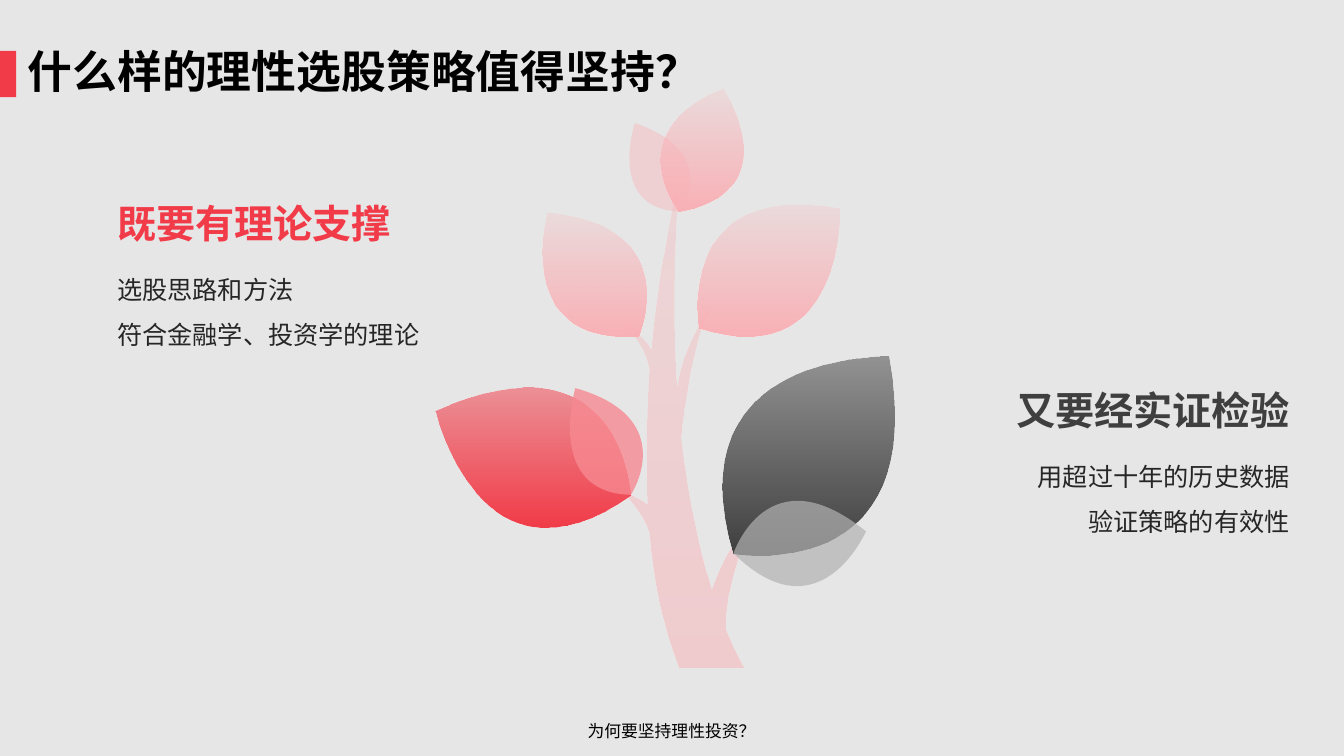
import dataclasses

import pptx
import pptx.dml.color
import pptx.enum.shapes
import pptx.enum.text
import pptx.oxml
import pptx.oxml.ns
import pptx.util
import lxml.etree

Cm = pptx.util.Cm
Align = pptx.enum.text.PP_ALIGN
Anchor = pptx.enum.text.MSO_ANCHOR
rgb = pptx.dml.color.RGBColor.from_string
qn = pptx.oxml.ns.qn


@dataclasses.dataclass(frozen=True)
class Theme:
    background: str = "E7E6E6"
    red: str = "F23B48"
    rose: str = "F78991"
    pink: str = "FAB1B6"
    dark: str = "3F3F3F"
    grey: str = "B2B2B2"
    body: str = "262626"
    black: str = "000000"
    font: str = "Noto Sans CJK SC"
    heading_font: str = "Arial"
    title_size: int = 32
    heading_size: int = 28
    body_size: int = 18
    footer_size: int = 12


theme = Theme()
BOUNDS_STEPS = 100
UNITS_PER_CM = 1000

presentation = pptx.Presentation()
presentation.slide_width = Cm(33.87)
presentation.slide_height = Cm(19.05)
slide = presentation.slides.add_slide(presentation.slide_layouts[6])
slide.background.fill.solid()
slide.background.fill.fore_color.rgb = rgb(theme.background)


def add_text(box, lines, size, color, font=theme.font, bold=False, align=Align.LEFT,
             anchor=Anchor.TOP, spacing=1.0, margin=0.0):
    shape = slide.shapes.add_textbox(*(Cm(value) for value in box))
    frame = shape.text_frame
    frame.word_wrap = True
    frame.vertical_anchor = anchor
    frame.margin_left = frame.margin_right = Cm(margin)
    frame.margin_top = frame.margin_bottom = Cm(margin / 2)
    frame.text = "\n".join(lines)
    for paragraph in frame.paragraphs:
        paragraph.alignment = align
        paragraph.line_spacing = spacing
        for run in paragraph.runs:
            run.font.name = font
            run.font.size = pptx.util.Pt(size)
            run.font.bold = bold
            run.font.color.rgb = rgb(color)
            east_asian = pptx.oxml.parse_xml(
                f'<a:ea {pptx.oxml.ns.nsdecls("a")} typeface="{theme.font}"/>')
            run.font._element.find(qn("a:latin")).addnext(east_asian)


def add_outline(start, segments, color, opacities, angle=90, rotation=0):
    """Draw lines (one point) and cubic curves (three); two opacities make a gradient."""
    # Bounds of the outline
    reached = [start]
    previous = start
    for segment in segments:
        if len(segment) == 3:
            for step in range(1, BOUNDS_STEPS):
                t = step / BOUNDS_STEPS
                weights = ((1 - t) ** 3, 3 * t * (1 - t) ** 2, 3 * t ** 2 * (1 - t), t ** 3)
                reached.append(tuple(
                    sum(w * point[axis] for w, point in zip(weights, (previous, *segment)))
                    for axis in (0, 1)))
        previous = segment[-1]
        reached.append(previous)
    left, top = (min(point[axis] for point in reached) for axis in (0, 1))
    right, bottom = (max(point[axis] for point in reached) for axis in (0, 1))

    # Freeform of that size, with its path made of the segments
    builder = slide.shapes.build_freeform(
        left * UNITS_PER_CM, top * UNITS_PER_CM, scale=Cm(1) / UNITS_PER_CM)
    builder.add_line_segments([(right * UNITS_PER_CM, bottom * UNITS_PER_CM)], close=True)
    shape = builder.convert_to_shape()
    outline = shape._element.spPr.find(".//" + qn("a:path"))
    for child in list(outline):
        outline.remove(child)
    tags = {1: "a:lnTo", 3: "a:cubicBezTo"}
    for tag, points in [("a:moveTo", [start])] + [(tags[len(s)], s) for s in segments]:
        command = lxml.etree.SubElement(outline, qn(tag))
        for x, y in points:
            lxml.etree.SubElement(command, qn("a:pt"),
                                  x=str(round((x - left) * UNITS_PER_CM)),
                                  y=str(round((y - top) * UNITS_PER_CM)))
    lxml.etree.SubElement(outline, qn("a:close"))

    shape.rotation = rotation
    shape.shadow.inherit = False
    shape.line.fill.background()
    if len(opacities) == 1:
        shape.fill.solid()
        shape.fill.fore_color.rgb = rgb(color)
    else:
        shape.fill.gradient()
        shape.fill.gradient_angle = angle
        for stop in shape.fill.gradient_stops:
            stop.color.rgb = rgb(color)
    color_elements = shape._element.spPr.findall(".//" + qn("a:srgbClr"))
    for element, opacity in zip(color_elements, opacities):
        lxml.etree.SubElement(element, qn("a:alpha"), val=str(opacity * 1000))


# Title with its red marker, and the footer
marker = slide.shapes.add_shape(
    pptx.enum.shapes.MSO_SHAPE.ROUNDED_RECTANGLE, 0, Cm(1.28), Cm(0.41), Cm(1.17))
marker.adjustments[0] = 0
marker.shadow.inherit = False
marker.fill.solid()
marker.fill.fore_color.rgb = rgb(theme.red)
marker.line.fill.background()
add_text((0.7, 1.28, 31.85, 1.17), ["什么样的理性选股策略值得坚持？"], theme.title_size,
         theme.black, bold=True, anchor=Anchor.MIDDLE, spacing=0.9)
add_text((11.21, 18.03, 11.43, 1.02), ["为何要坚持理性投资？"], theme.footer_size,
         theme.black, align=Align.CENTER, margin=0.25)

# The two arguments, left and right of the plant
arguments = [
    (2.95, 5.11, Align.LEFT, theme.red, "既要有理论支撑",
     ["选股思路和方法", "符合金融学、投资学的理论"]),
    (23.62, 9.82, Align.RIGHT, theme.dark, "又要经实证检验",
     ["用超过十年的历史数据", "验证策略的有效性"]),
]
for left, top, align, color, heading, lines in arguments:
    add_text((left, top, 8.89, 1.02), [heading], theme.heading_size, color,
             font=theme.heading_font, bold=True, align=align, anchor=Anchor.MIDDLE)
    add_text((left, top + 1.42, 8.88, 2.26), lines, theme.body_size, theme.body,
             align=align, spacing=1.5)

# Stem: two control points and an end point a row, or the end of a line
stem_start = (18.92, 13.18)
stem_segments = [
    ((18.44, 13.59), (18.11, 14.35), (17.93, 14.83)),
    ((17.65, 13.92), (17.35, 12.65), (17.17, 11.02)),
    ((17.25, 10.24), (17.45, 8.59), (17.96, 7.62)),
    ((17.96, 7.59), (17.98, 7.57), (17.98, 7.57)),
    ((17.98, 7.57), (17.2, 8.66), (17.07, 9.78)),
    ((16.97, 8.28), (16.97, 6.53), (17.12, 4.52)),
    ((17.12, 4.52), (16.66, 6.35), (16.43, 8.81)),
    ((16.36, 8.69), (16.15, 8.36), (15.65, 8.05)),
    ((15.65, 8.05), (16.28, 8.64), (16.38, 9.3)),
    ((16.31, 10.39), (16.28, 11.53), (16.33, 12.7)),
    ((16.13, 12.52), (15.67, 12.32), (15.67, 12.32)),
    ((16.13, 12.8), (16.31, 13.21), (16.38, 13.39)),
    ((16.48, 14.58), (16.71, 15.75), (17.12, 16.81)),
    ((18.75, 16.81),),
    ((18.75, 16.81), (18.54, 16.48), (18.29, 15.82)),
    ((18.24, 14.73), stem_start, stem_start),
]
add_outline(stem_start, stem_segments, theme.pink, (30, 50), angle=270)

# Leaves: one end, bulge, other end, bulge on the way back, colour, opacities, rotation
leaves = [
    ((18.21, 2.24), (15.62, 3.07), (17.09, 5.33), (19.84, 5.05), theme.pink, (100, 20), 0),
    ((13.79, 5.36), (12.85, 8.69), (16.08, 8.46), (17.3, 5.69), theme.pink, (100, 20), 0),
    ((17.63, 8.28), (16.94, 4.52), (21.16, 5.26), (21.31, 9.47), theme.pink, (100, 20), 0),
    ((10.97, 10.36), (12.09, 15.14), (15.88, 12.47), (15.67, 8.26), theme.red, (100, 50), 0),
    ((22.38, 8.99), (16.94, 8.81), (18.49, 13.94), (23.44, 14.81), theme.dark, (100, 50), 0),
    ((18.53, 14.15), (19.06, 11.5), (21.77, 13.18), (20.95, 16), theme.grey, (70,), 7.3),
    ((14.5, 9.78), (13.72, 12.42), (15.9, 12.47), (17.17, 10.54), theme.rose, (80,), 0),
    ((16, 3.1), (15.29, 5.23), (17.09, 5.33), (18.26, 3.89), theme.pink, (40,), 0),
]
for start, bulge_out, end, bulge_back, color, opacities, rotation in leaves:
    add_outline(start, [(start, bulge_out, end), (end, bulge_back, start)],
                color, opacities, rotation=rotation)

presentation.save("out.pptx")
